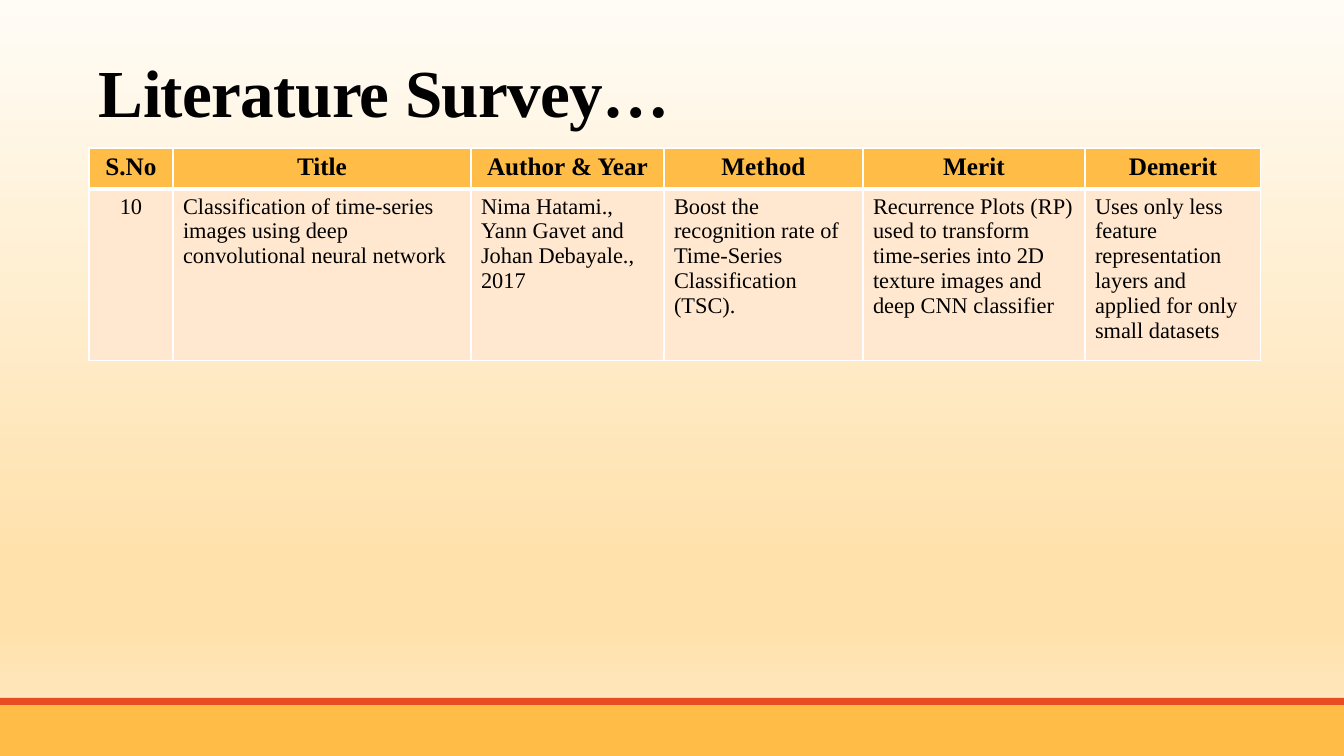
from lxml.etree import SubElement
from pptx import Presentation
from pptx.dml.color import RGBColor
from pptx.enum.shapes import MSO_SHAPE
from pptx.enum.text import MSO_ANCHOR, PP_ALIGN
from pptx.oxml.ns import qn
from pptx.util import Emu, Pt

AMBER = RGBColor(0xFF, 0xBD, 0x47)
ORANGE = RGBColor(0xE8, 0x4C, 0x22)
PEACH = RGBColor(0xFF, 0xE8, 0xCF)
BLACK = RGBColor(0, 0, 0)
WHITE = RGBColor(0xFF, 0xFF, 0xFF)
BACKGROUND_STOPS = [
    (0, RGBColor(0xFF, 0xFC, 0xF6)),
    (74, RGBColor(0xFF, 0xE1, 0xAC)),
    (83, RGBColor(0xFF, 0xE1, 0xAC)),
    (100, RGBColor(0xFF, 0xEB, 0xC8)),
]

SLIDE_WIDTH, SLIDE_HEIGHT = 1344, 756
COLUMN_WIDTHS = [84, 298, 193, 199, 222, 176]
ROW_HEIGHTS = [41, 159]
SURVEY = [
    ["S.No", "Title", "Author & Year", "Method", "Merit", "Demerit"],
    [
        "10",
        "Classification of time-series images using deep convolutional neural network",
        "Nima Hatami., Yann Gavet and Johan Debayale., 2017",
        "Boost the recognition rate of Time-Series Classification (TSC).",
        "Recurrence Plots (RP) used to transform time-series into 2D texture images "
        "and deep CNN classifier",
        "Uses only less feature representation layers and applied for only small datasets",
    ],
]


def px(length):
    """Turn px (100.8 to the inch) into EMU."""
    return Emu(round(length * 914400 / 100.8))


class SlideBuilder:
    font_name = "Times New Roman"

    def __init__(self, presentation):
        self.slide = presentation.slides.add_slide(presentation.slide_layouts[6])

    def background(self, stops):
        fill = self.slide.background.fill
        fill.gradient()
        fill.gradient_angle = 270
        stop_list = self.slide.element.find(".//" + qn("a:gsLst"))
        stop_list.clear()
        for percent, color in stops:
            stop = SubElement(stop_list, qn("a:gs"), pos=str(percent * 1000))
            SubElement(stop, qn("a:srgbClr"), val=str(color))

    def band(self, top, height, color):
        shape = self.slide.shapes.add_shape(
            MSO_SHAPE.RECTANGLE, 0, px(top), px(SLIDE_WIDTH), px(height))
        shape.shadow.inherit = False
        shape.fill.solid()
        shape.fill.fore_color.rgb = color
        shape.line.fill.background()

    def style(self, paragraph, size, bold):
        font = paragraph.font
        font.name, font.size, font.bold = self.font_name, Pt(size), bold
        font.color.rgb = BLACK

    def title(self, text, left, top, width, height):
        box = self.slide.shapes.add_textbox(px(left), px(top), px(width), px(height))
        frame = box.text_frame
        frame.word_wrap = True
        frame.vertical_anchor = MSO_ANCHOR.BOTTOM
        paragraph = frame.paragraphs[0]
        paragraph.line_spacing = 0.85
        run = paragraph.add_run()
        run.text = text
        run.font._element.set("spc", "-50")
        self.style(paragraph, 48, True)

    def borders(self, cell, widths):
        """Draw white cell borders; widths maps L, R, T, B (in that order) to points."""
        properties = cell._tc.get_or_add_tcPr()
        for side, width in widths.items():
            line = SubElement(properties, qn("a:ln" + side), w=str(Pt(width)))
            fill = SubElement(line, qn("a:solidFill"))
            SubElement(fill, qn("a:srgbClr"), val=str(WHITE))

    def table(self, rows, left, top, column_widths, row_heights):
        table = self.slide.shapes.add_table(
            len(rows), len(column_widths), px(left), px(top),
            px(sum(column_widths)), px(sum(row_heights))).table
        table.horz_banding = False
        for column, width in zip(table.columns, column_widths):
            column.width = px(width)
        for row, height in zip(table.rows, row_heights):
            row.height = px(height)
        for row_index, texts in enumerate(rows):
            header = row_index == 0
            for column_index, text in enumerate(texts):
                cell = table.cell(row_index, column_index)
                cell.text = text
                self.borders(cell, {"L": 1, "R": 1, "T": 1 if header else 3,
                                    "B": 3 if header else 1})
                cell.fill.solid()
                cell.fill.fore_color.rgb = AMBER if header else PEACH
                paragraph = cell.text_frame.paragraphs[0]
                centred = header or column_index == 0
                paragraph.alignment = PP_ALIGN.CENTER if centred else PP_ALIGN.LEFT
                self.style(paragraph, 18 if header else 16, header)


def main():
    presentation = Presentation()
    presentation.slide_width = px(SLIDE_WIDTH)
    presentation.slide_height = px(SLIDE_HEIGHT)
    builder = SlideBuilder(presentation)
    builder.background(BACKGROUND_STOPS)
    builder.band(705, 51, AMBER)
    builder.band(698, 7, ORANGE)
    builder.title("Literature Survey…", 89, 31, 1141, 105)
    builder.table(SURVEY, 89, 148, COLUMN_WIDTHS, ROW_HEIGHTS)
    presentation.save("out.pptx")


if __name__ == "__main__":
    main()
